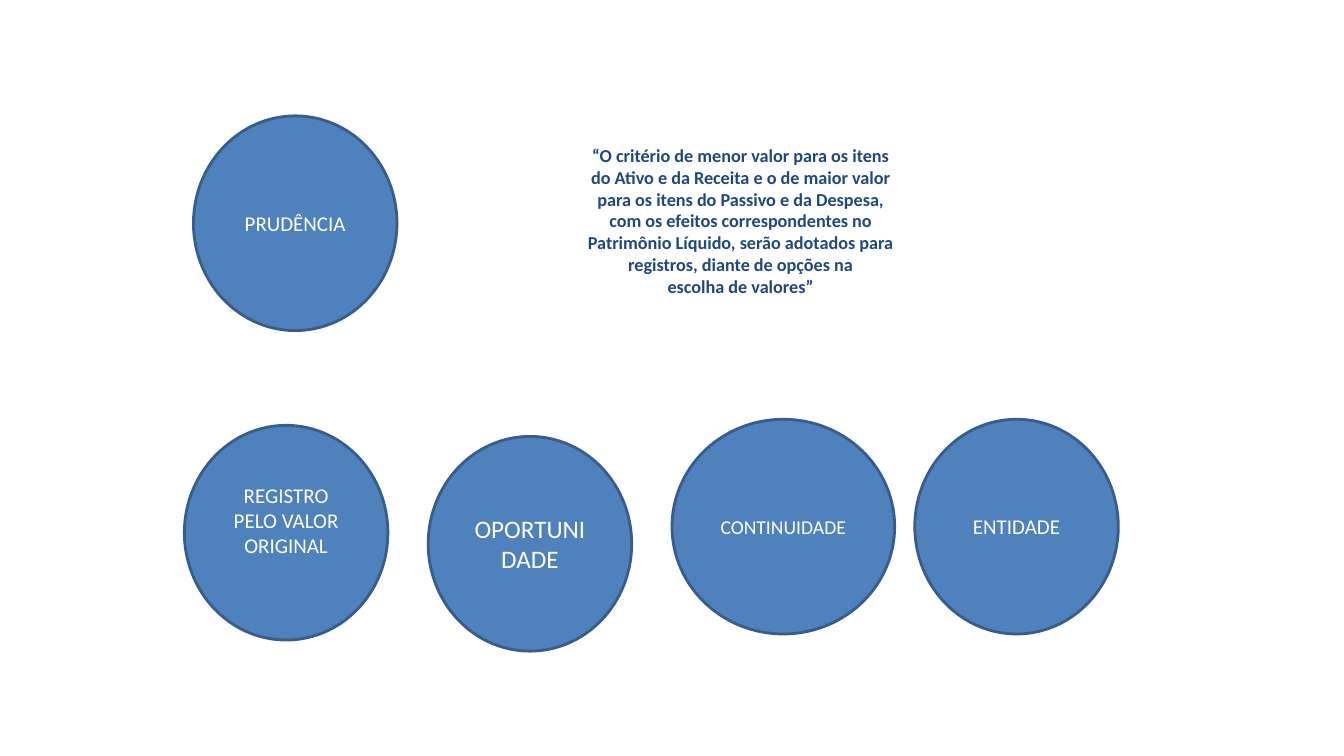
from pptx import Presentation
from pptx.dml.color import RGBColor
from pptx.enum.shapes import MSO_SHAPE
from pptx.enum.text import MSO_ANCHOR, PP_ALIGN
from pptx.util import Pt

PX = 9144  # EMU per px, 100 px to the inch
OVAL = MSO_SHAPE.OVAL
MIDDLE = MSO_ANCHOR.MIDDLE
CENTER = PP_ALIGN.CENTER
COLORS = {"circle": "4F81BD", "outline": "385D8A", "label": "FFFFFF", "quote": "1F497D"}


def color(name):
    return RGBColor.from_string(COLORS[name])


def write_lines(frame, lines, font_format, font_color):
    """Put each line in its own centred paragraph."""
    frame.word_wrap = True
    for index, line in enumerate(lines):
        paragraph = frame.add_paragraph() if index else frame.paragraphs[0]
        paragraph.alignment = CENTER
        run = paragraph.add_run()
        run.text = line
        for attribute, value in font_format.items():
            setattr(run.font, attribute, value)
        run.font.color.rgb = color(font_color)


presentation = Presentation()
presentation.slide_width = 1334 * PX
presentation.slide_height = 750 * PX
slide = presentation.slides.add_slide(presentation.slide_layouts[6])

# label, left, top, width, font size, bottom inset (the larger one lifts the label)
CIRCLE_HEIGHT = 213
principles = [
    ("ENTIDADE", 908, 416, 202, 15, 5),
    ("CONTINUIDADE", 667, 416, 221, 14, 5),
    ("OPORTUNIDADE", 425, 433, 202, 18, 5),
    ("REGISTRO PELO VALOR ORIGINAL", 183, 422, 202, 15, 30),
    ("PRUDÊNCIA", 192, 115, 202, 15, 5),
]
for label, left, top, width, size, bottom_inset in principles:
    circle = slide.shapes.add_shape(
        OVAL, left * PX, top * PX, width * PX, CIRCLE_HEIGHT * PX)
    circle.shadow.inherit = False
    circle.fill.solid()
    circle.fill.fore_color.rgb = color("circle")
    circle.line.color.rgb = color("outline")
    circle.line.width = Pt(2)
    circle.text_frame.vertical_anchor = MIDDLE
    circle.text_frame.margin_bottom = bottom_inset * PX
    write_lines(circle.text_frame, [label], {"name": "Calibri", "size": Pt(size)}, "label")

prudence_quote = [
    "“O critério de menor valor para os itens",
    "do Ativo e da Receita e o de maior valor",
    "para os itens do Passivo e da Despesa,",
    "com os efeitos correspondentes no",
    "Patrimônio Líquido, serão adotados para",
    "registros, diante de opções na",
    "escolha de valores”",
]
quote = slide.shapes.add_textbox(485 * PX, 138 * PX, 500 * PX, 162 * PX)
write_lines(quote.text_frame, prudence_quote,
            {"name": "Calibri", "size": Pt(13), "bold": True}, "quote")

presentation.save("out.pptx")
